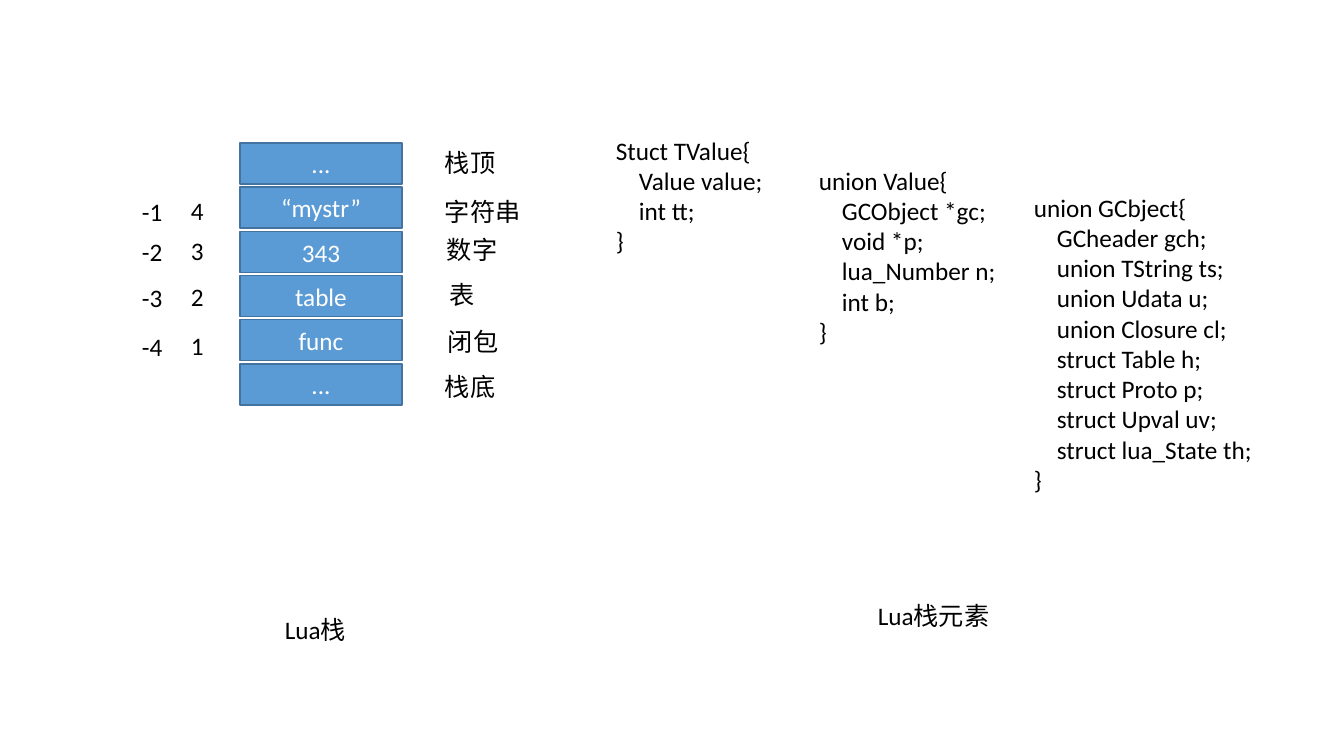
"""Build a slide showing the Lua stack and the unions behind its elements."""
import pptx
import pptx.util
import pptx.dml.color
import pptx.enum.shapes
import pptx.enum.text

HUES = {"cell": "5B9BD5", "edge": "43739E", "light": "FFFFFF", "dark": "000000"}
FONT, SIZE = "Calibri", 18
WIDE, HIGH = 1344, 756
SCALE = 12192000 / WIDE

CELLS = ["...", "“mystr”", "343", "table", "func", "..."]
KINDS = [("栈顶", 435, 142, 74), ("字符串", 435, 191, 100), ("数字", 437, 229, 74),
         ("表", 440, 274, 48), ("闭包", 438, 321, 74), ("栈底", 435, 366, 74)]
INDEX = [("4", "-1", 190), ("3", "-2", 230), ("2", "-3", 276), ("1", "-4", 325)]
NAMES = [("Lua栈", 275, 609, 82), ("Lua栈元素", 868, 595, 132)]
TYPES = [
    ("Stuct TValue{", ["Value value;", "int tt;"], 606, 130, 174),
    ("union Value{", ["GCObject *gc;", "void *p;", "lua_Number n;", "int b;"],
     809, 160, 204),
    ("union GCbject{", ["GCheader gch;", "union TString ts;", "union Udata u;",
                        "union Closure cl;", "struct Table h;", "struct Proto p;",
                        "struct Upval uv;", "struct lua_State th;"],
     1024, 187, 250),
]
CELL_X, CELL_W, CELL_H = 240, 162, 41
PLUS_X, PLUS_W, MINUS_X, MINUS_W = 181, 38, 132, 48
TOP, LAST = 143, 364
ROW, PAD, INDENT = 30, 10, 23


def emu(px):
    return pptx.util.Emu(round(px * SCALE))


def tint(name):
    return pptx.dml.color.RGBColor.from_string(HUES[name])


def style(para, hue):
    para.font.name, para.font.size = FONT, pptx.util.Pt(SIZE)
    para.font.color.rgb = tint(hue)


def add_text(lines, x, y, w):
    box = slide.shapes.add_textbox(emu(x), emu(y), emu(w),
                                   emu(ROW * len(lines) + PAD))
    frame = box.text_frame
    frame.word_wrap = True
    frame.text = "\n".join(lines)
    for para in frame.paragraphs:
        style(para, "dark")
    return frame.paragraphs


def add_cell(text, y):
    cell = slide.shapes.add_shape(pptx.enum.shapes.MSO_SHAPE.RECTANGLE,
                                  emu(CELL_X), emu(y), emu(CELL_W), emu(CELL_H))
    cell.shadow.inherit = False
    cell.fill.solid()
    cell.fill.fore_color.rgb = tint("cell")
    cell.line.color.rgb = tint("edge")
    cell.line.width = pptx.util.Pt(1)
    frame = cell.text_frame
    frame.text = text
    frame.vertical_anchor = pptx.enum.text.MSO_ANCHOR.MIDDLE
    para = frame.paragraphs[0]
    para.alignment = pptx.enum.text.PP_ALIGN.CENTER
    style(para, "light")


deck = pptx.Presentation()
deck.slide_width, deck.slide_height = emu(WIDE), emu(HIGH)
slide = deck.slides.add_slide(deck.slide_layouts[6])

step = (LAST - TOP) / (len(CELLS) - 1)
for i, text in enumerate(CELLS):
    add_cell(text, TOP + i * step)
for text, x, y, w in KINDS + NAMES:
    add_text([text], x, y, w)
for plus, minus, y in INDEX:
    add_text([plus], PLUS_X, y, PLUS_W)
    add_text([minus], MINUS_X, y + 1, MINUS_W)
for head, body, x, y, w in TYPES:
    paras = add_text([head, *body, "}"], x, y, w)
    for para in paras[1:-1]:
        para._p.get_or_add_pPr().set("marL", str(emu(INDENT)))

deck.save("out.pptx")
